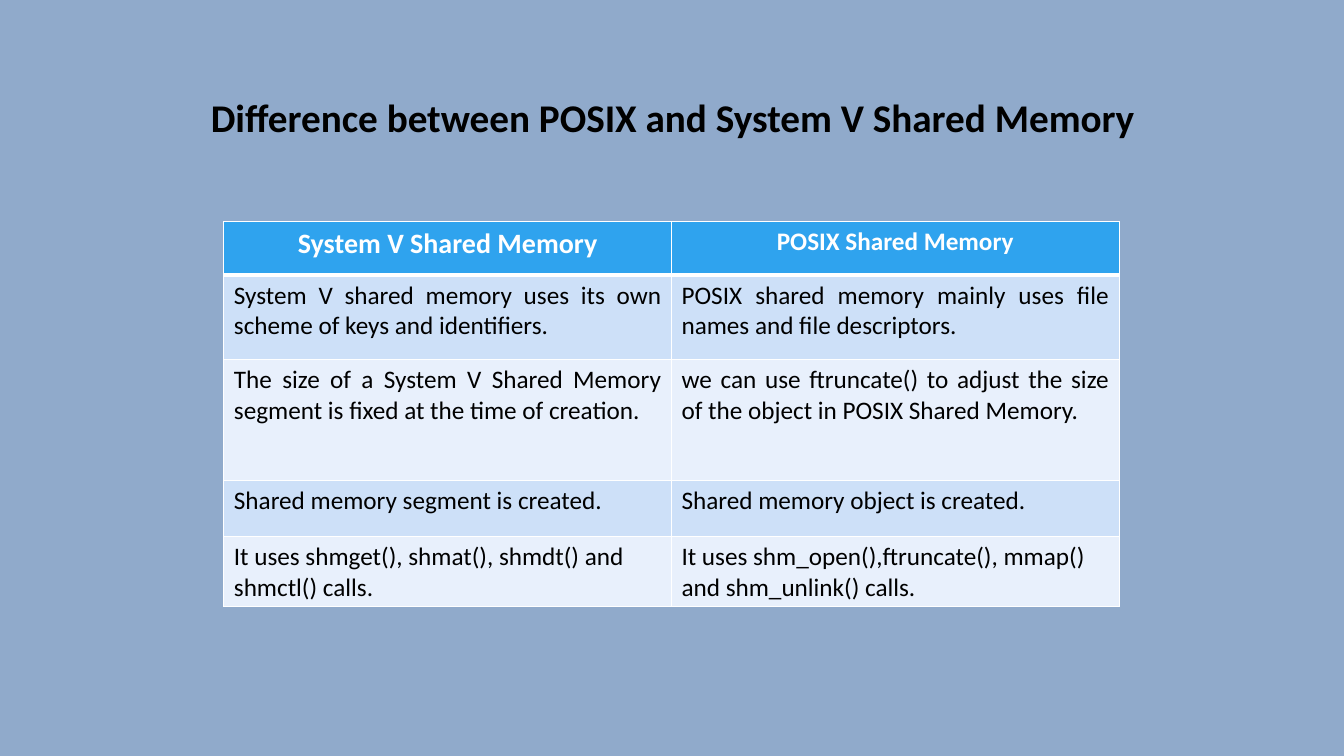
"""Build a slide comparing System V and POSIX shared memory."""
from dataclasses import dataclass

from lxml import etree
from pptx import Presentation
from pptx import util as u
from pptx.dml.color import RGBColor
from pptx.enum import text
from pptx.oxml import ns

BACKDROP = RGBColor(0x90, 0xAA, 0xCB)
HEADER = RGBColor(0x2F, 0xA3, 0xEE)
BAND_DARK = RGBColor(0xCD, 0xE0, 0xF8)
BAND_LIGHT = RGBColor(0xE8, 0xF0, 0xFC)
WHITE = RGBColor(0xFF, 0xFF, 0xFF)
BLACK = RGBColor(0, 0, 0)

LEFT, CENTER, JUSTIFY = (text.PP_ALIGN.LEFT, text.PP_ALIGN.CENTER,
                         text.PP_ALIGN.JUSTIFY)
COLUMN_WIDTH = 4.44


@dataclass(frozen=True)
class Row:
    height: float
    system_v: str
    posix: str
    align: text.PP_ALIGN


ROWS = [
    Row(0.53, "System V Shared Memory", "POSIX Shared Memory", CENTER),
    Row(0.84, "System V shared memory uses its own scheme of keys and identifiers.",
        "POSIX shared memory mainly uses file names and file descriptors.", JUSTIFY),
    Row(1.2, "The size of a System V Shared Memory segment is fixed at the time of creation.",
        "we can use ftruncate() to adjust the size of the object in POSIX Shared Memory.",
        JUSTIFY),
    Row(0.55, "Shared memory segment is created.", "Shared memory object is created.", LEFT),
    Row(0.7, "It uses shmget(), shmat(), shmdt() and shmctl() calls.",
        "It uses shm_open(),ftruncate(), mmap() and shm_unlink() calls.", LEFT),
]


def write(frame, words: str, align: text.PP_ALIGN, size: int,
          color: RGBColor, bold: bool) -> None:
    """Fill a text frame with one formatted paragraph."""
    para = frame.paragraphs[0]
    para.alignment = align
    span = para.add_run()
    span.text = words
    for name, value in {"name": "Calibri", "size": u.Pt(size), "bold": bold}.items():
        setattr(span.font, name, value)
    span.font.color.rgb = color


def add_borders(cell, widths: dict[str, int]) -> None:
    """Give a cell white borders of the given widths in points."""
    properties = cell._tc.get_or_add_tcPr()
    for index, (side, width) in enumerate(widths.items()):
        line = etree.Element(ns.qn(f"a:ln{side}"), w=str(u.Pt(width)))
        fill = etree.SubElement(line, ns.qn("a:solidFill"))
        etree.SubElement(fill, ns.qn("a:srgbClr"), val=str(WHITE))
        properties.insert(index, line)


def add_title(page) -> None:
    """Add the slide heading."""
    box = page.shapes.add_textbox(
        u.Inches(1.62), u.Inches(0.88), u.Inches(10.1), u.Inches(0.57))
    box.text_frame.word_wrap = True
    write(box.text_frame, "Difference between POSIX and System V Shared Memory",
          CENTER, 28, BLACK, True)


def add_comparison(page, rows: list[Row]) -> None:
    """Add the two-column comparison table."""
    table = page.shapes.add_table(
        len(rows), 2, u.Inches(2.22), u.Inches(2.2), u.Inches(2 * COLUMN_WIDTH),
        u.Inches(sum(row.height for row in rows))).table
    for column in table.columns:
        column.width = u.Inches(COLUMN_WIDTH)
    for index, row in enumerate(rows):
        table.rows[index].height = u.Inches(row.height)
        heading = index == 0
        band = HEADER if heading else BAND_DARK if index % 2 else BAND_LIGHT
        borders = {"L": 1, "R": 1, "T": 3 if index == 1 else 1, "B": 3 if heading else 1}
        for column, words in enumerate((row.system_v, row.posix)):
            cell = table.cell(index, column)
            cell.fill.solid()
            cell.fill.fore_color.rgb = band
            add_borders(cell, borders)
            size = 20 if heading and column == 0 else 18
            write(cell.text_frame, words, row.align, size,
                  WHITE if heading else BLACK, heading)


def main() -> None:
    """Build and save the deck."""
    deck = Presentation()
    deck.slide_width, deck.slide_height = u.Inches(13.33), u.Inches(7.5)
    page = deck.slides.add_slide(deck.slide_layouts[6])
    page.background.fill.solid()
    page.background.fill.fore_color.rgb = BACKDROP
    add_title(page)
    add_comparison(page, ROWS)
    deck.save("out.pptx")


if __name__ == "__main__":
    main()
